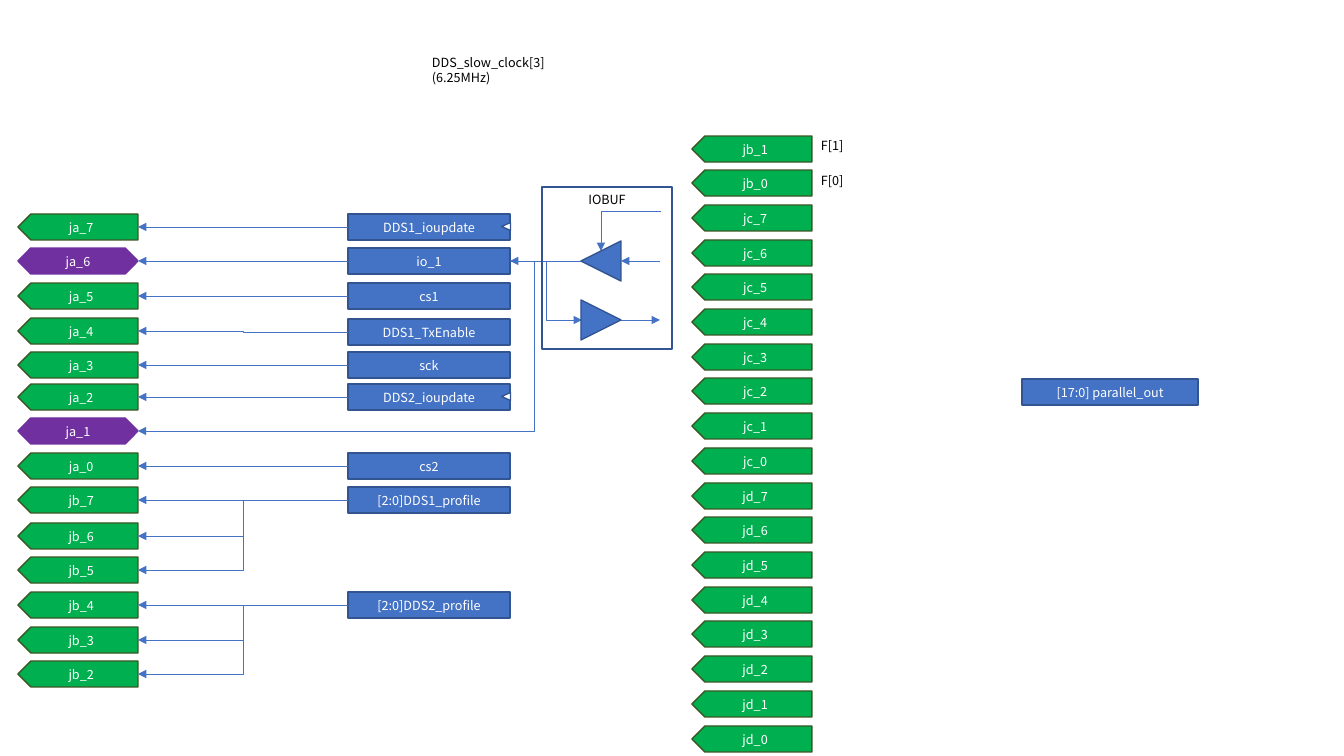
"""Draw the pin assignment diagram of the DDS boards on one slide."""
from dataclasses import dataclass

from lxml.etree import SubElement
from pptx import Presentation
from pptx.dml.color import RGBColor
from pptx.enum.shapes import MSO_CONNECTOR, MSO_SHAPE
from pptx.enum.text import MSO_ANCHOR, PP_ALIGN
from pptx.oxml.ns import qn
from pptx.util import Pt

PX = 12192000 // 1344


@dataclass(frozen=True)
class Theme:
    font: str = "Noto Sans CJK KR"
    size: int = 9
    outline: float = 1
    wire_width: float = 0.5
    blue: str = "4472C4"
    navy: str = "325491"
    green: str = "00B050"
    forest: str = "385723"
    purple: str = "7030A0"
    white: str = "FFFFFF"
    black: str = "000000"


theme = Theme()


def add_text(shape, text, color=theme.black, align=PP_ALIGN.LEFT, anchor=MSO_ANCHOR.MIDDLE, wrap=True):
    frame = shape.text_frame
    frame.word_wrap = wrap
    frame.vertical_anchor = anchor
    paragraph = frame.paragraphs[0]
    paragraph.text = text
    paragraph.alignment = align
    paragraph.font.name = theme.font
    paragraph.font.size = Pt(theme.size)
    paragraph.font.color.rgb = RGBColor.from_string(color)


def add_wire(start, end, preset=None, bend=None):
    kind = MSO_CONNECTOR.STRAIGHT if start[1] == end[1] else MSO_CONNECTOR.ELBOW
    wire = slide.shapes.add_connector(kind, *[value * PX for value in start + end])
    wire.line.color.rgb = RGBColor.from_string(theme.blue)
    wire.line.width = Pt(theme.wire_width)
    properties = wire.element.spPr
    SubElement(properties.find(qn("a:ln")), qn("a:tailEnd"), type="triangle")
    SubElement(properties, qn("a:effectLst"))
    geometry = properties.find(qn("a:prstGeom"))
    if preset:
        geometry.set("prst", preset)
    if bend:
        SubElement(geometry.find(qn("a:avLst")), qn("a:gd"), name="adj1", fmla=f"val {bend}")
    return wire


presentation = Presentation()
presentation.slide_width = 1344 * PX
presentation.slide_height = 756 * PX
slide = presentation.slides.add_slide(presentation.slide_layouts[6])

PIN_LEFT, PIN_WIDTH, HEIGHT = 18, 120, 26
PIN_RIGHT = PIN_LEFT + PIN_WIDTH
REGISTER_LEFT, REGISTER_WIDTH = 348, 162
REGISTER_RIGHT = REGISTER_LEFT + REGISTER_WIDTH
BANK_LEFT, BANK_TOP, BANK_SPAN = 692, 136, 590
HALF = HEIGHT // 2

pin_tops = {
    "ja_7": 214, "ja_6": 248, "ja_5": 283, "ja_4": 318, "ja_3": 352, "ja_2": 384, "ja_1": 418,
    "ja_0": 453, "jb_7": 487, "jb_6": 523, "jb_5": 557, "jb_4": 592, "jb_3": 627, "jb_2": 661,
}
bidirectional = ("ja_6", "ja_1")
registers = {
    "DDS1_ioupdate": (214, ["ja_7"]),
    "io_1": (248, ["ja_6"]),
    "cs1": (283, ["ja_5"]),
    "DDS1_TxEnable": (319, ["ja_4"]),
    "sck": (352, ["ja_3"]),
    "DDS2_ioupdate": (384, ["ja_2"]),
    "cs2": (453, ["ja_0"]),
    "[2:0]DDS1_profile": (487, ["jb_7", "jb_6", "jb_5"]),
    "[2:0]DDS2_profile": (592, ["jb_4", "jb_3", "jb_2"]),
}
bank = ["jb_1", "jb_0"] + [f"{port}_{bit}" for port in ("jc", "jd") for bit in range(7, -1, -1)]

green_plate = (MSO_SHAPE.PENTAGON, theme.green, theme.forest)
purple_hexagon = (MSO_SHAPE.HEXAGON, theme.purple, theme.purple)
blue_box = (MSO_SHAPE.RECTANGLE, theme.blue, theme.navy)

blocks = [
    (name, purple_hexagon if name in bidirectional else green_plate, PIN_LEFT, top, PIN_WIDTH)
    for name, top in pin_tops.items()
]
blocks += [(name, blue_box, REGISTER_LEFT, top, REGISTER_WIDTH) for name, (top, pins) in registers.items()]
blocks += [
    (name, green_plate, BANK_LEFT, BANK_TOP + index * BANK_SPAN // (len(bank) - 1), PIN_WIDTH)
    for index, name in enumerate(bank)
]
blocks.append(("[17:0] parallel_out", blue_box, 1022, 379, 176))

drawn = {}
for name, (preset, fill, line), left, top, width in blocks:
    block = slide.shapes.add_shape(preset, left * PX, top * PX, width * PX, HEIGHT * PX)
    block.shadow.inherit = False
    block.fill.solid()
    block.fill.fore_color.rgb = RGBColor.from_string(fill)
    block.line.color.rgb = RGBColor.from_string(line)
    block.line.width = Pt(theme.outline)
    if preset == MSO_SHAPE.PENTAGON:
        block.element.spPr.find(qn("a:xfrm")).set("flipH", "1")
    if preset == MSO_SHAPE.HEXAGON:
        block.adjustments[0] = 0.49
    add_text(block, name, color=theme.white, align=PP_ALIGN.CENTER)
    drawn[name] = block

for name, (top, pins) in registers.items():
    for pin in pins:
        wire = add_wire((REGISTER_LEFT, top + HALF), (PIN_RIGHT, pin_tops[pin] + HALF))
        if top == pin_tops[pin]:
            wire.begin_connect(drawn[name], 1)

add_wire((582, 261), (REGISTER_RIGHT, 261)).end_connect(drawn["io_1"], 3)
add_wire((661, 211), (601, 251), preset="bentConnector2")
add_wire((660, 261), (621, 261))
add_wire((REGISTER_RIGHT, 261), (582, 320))
add_wire((621, 320), (660, 320))
add_wire((582, 261), (PIN_RIGHT, pin_tops["ja_1"] + HALF), bend=10700)

triangles = [
    (502, registers["DDS1_ioupdate"][0] + 8, 8, 9, 270, theme.white),
    (502, registers["DDS2_ioupdate"][0] + 8, 8, 9, 270, theme.white),
    (581, 241, 40, 40, 270, theme.blue),
    (581, 300, 40, 40, 90, theme.blue),
]
for left, top, width, height, rotation, fill in triangles:
    triangle = slide.shapes.add_shape(
        MSO_SHAPE.ISOSCELES_TRIANGLE, left * PX, top * PX, width * PX, height * PX)
    triangle.shadow.inherit = False
    triangle.rotation = rotation
    triangle.fill.solid()
    triangle.fill.fore_color.rgb = RGBColor.from_string(fill)
    triangle.line.color.rgb = RGBColor.from_string(theme.navy)
    triangle.line.width = Pt(theme.outline)

buffer_frame = slide.shapes.add_shape(MSO_SHAPE.RECTANGLE, 542 * PX, 187 * PX, 130 * PX, 162 * PX)
buffer_frame.shadow.inherit = False
buffer_frame.fill.background()
buffer_frame.line.color.rgb = RGBColor.from_string(theme.navy)
buffer_frame.line.width = Pt(theme.outline)
add_text(buffer_frame, "IOBUF", align=PP_ALIGN.CENTER, anchor=MSO_ANCHOR.TOP)

clock_label = slide.shapes.add_textbox(422 * PX, 50 * PX, 190 * PX, 25 * PX)
add_text(clock_label, "DDS_slow_clock[3]\v(6.25MHz)", anchor=MSO_ANCHOR.TOP, wrap=False)

for text, top in (("F[1]", 133), ("F[0]", 168)):
    label = slide.shapes.add_textbox(811 * PX, top * PX, 68 * PX, 25 * PX)
    add_text(label, text)

presentation.save("out.pptx")
